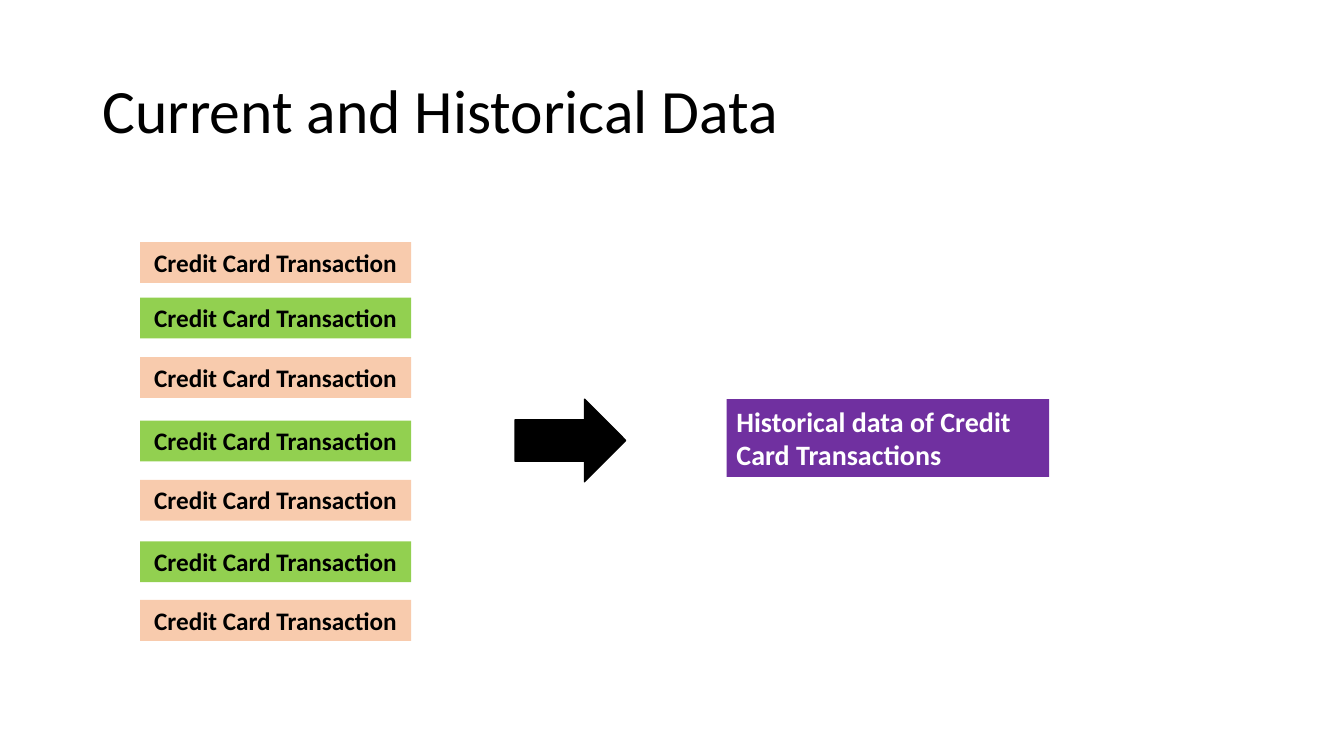
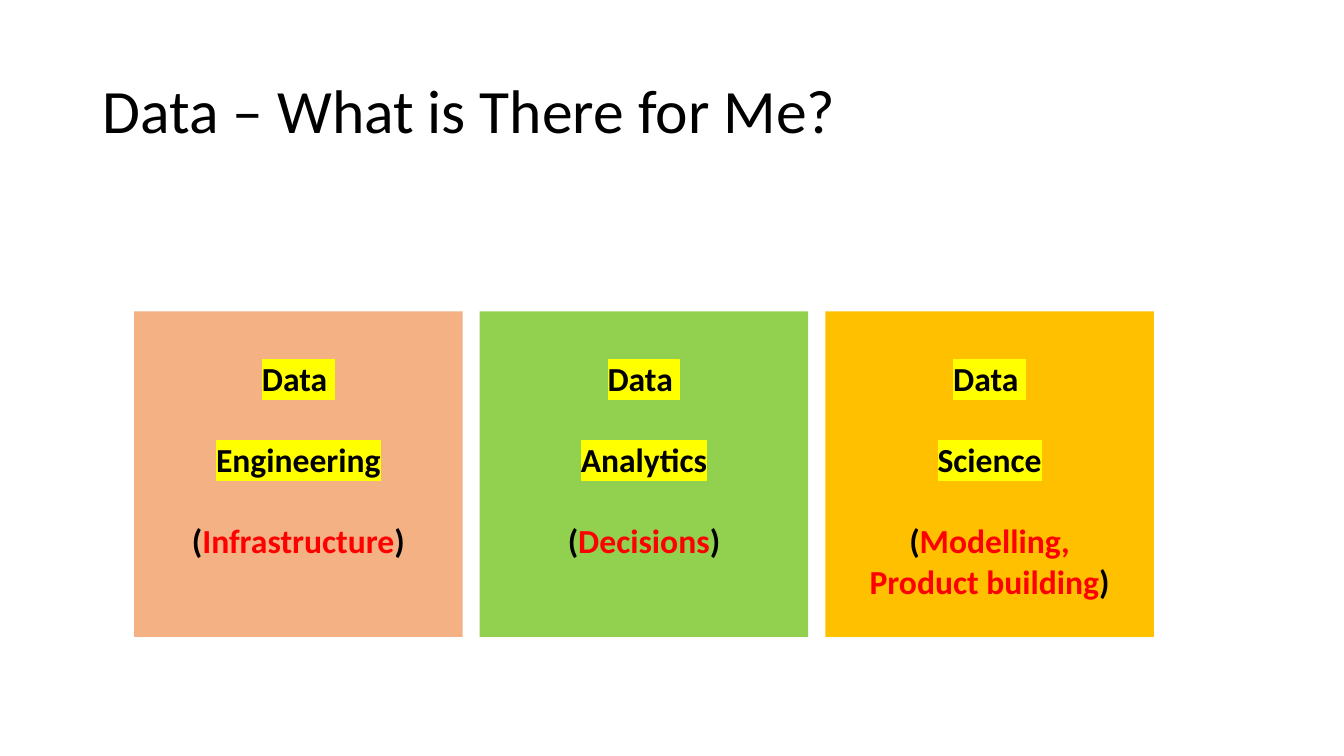
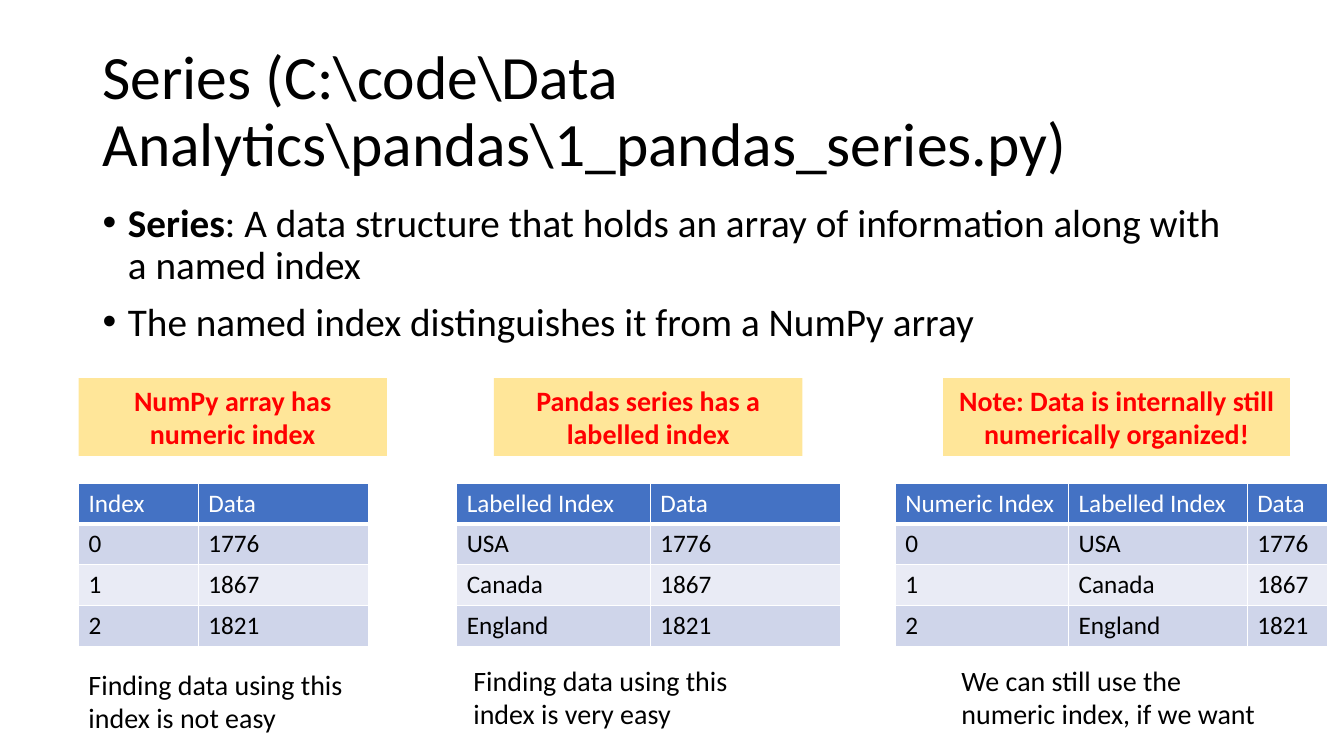
from dataclasses import dataclass

from lxml import etree
from pptx import Presentation
from pptx.dml.color import RGBColor
from pptx.enum.shapes import MSO_SHAPE
from pptx.enum.text import MSO_ANCHOR, MSO_AUTO_SIZE, PP_ALIGN
from pptx.oxml.ns import qn
from pptx.presentation import Presentation as Deck
from pptx.shapes.autoshape import Shape
from pptx.slide import Slide
from pptx.table import _Cell
from pptx.text.text import TextFrame, _Paragraph
from pptx.util import Cm, Pt

RECTANGLE = MSO_SHAPE.RECTANGLE
RIGHT_ARROW = MSO_SHAPE.RIGHT_ARROW
TOP = MSO_ANCHOR.TOP
MIDDLE = MSO_ANCHOR.MIDDLE
NO_AUTOFIT = MSO_AUTO_SIZE.NONE
LEFT = PP_ALIGN.LEFT
CENTER = PP_ALIGN.CENTER

TITLE_AND_CONTENT = 1
TITLE_ONLY = 5
FONT = "Calibri"
BLACK = "000000"
WHITE = "FFFFFF"
RED = "FF0000"
YELLOW = "FFFF00"
GREEN = "92D050"
PEACH = "F8CBAD"
ORANGE = "F4B183"
GOLD = "FFC000"
PURPLE = "7030A0"
CREAM = "FFE699"
HEADER_BLUE = "4472C4"
ROW_BANDS = ("CFD5EA", "E9EBF5")

CONTENT_LEFT = 2.33
CONTENT_WIDTH = 29.21
TWO_LINE_HEIGHT = 1.96


@dataclass(frozen=True)
class Box:
    left: float
    top: float
    width: float
    height: float

    def lengths(self) -> tuple[Cm, Cm, Cm, Cm]:
        return Cm(self.left), Cm(self.top), Cm(self.width), Cm(self.height)


@dataclass(frozen=True)
class Field:
    name: str
    purpose: tuple[str, ...]
    color: str


@dataclass(frozen=True)
class IndexExample:
    note: str
    note_left: float
    note_width: float
    table_left: float
    columns: dict[str, float]
    caption: str
    caption_box: Box


TITLE_BOX = Box(CONTENT_LEFT, 1.01, CONTENT_WIDTH, 3.68)
BODY_BOX = Box(CONTENT_LEFT, 5.0, CONTENT_WIDTH, 12.09)

TRANSACTION_TOPS = (6.1, 7.5, 9.0, 10.6, 12.09, 13.64, 15.12)

FIELDS = (
    Field("Engineering", ("Infrastructure",), ORANGE),
    Field("Analytics", ("Decisions",), GREEN),
    Field("Science", ("Modelling,", "Product building"), GOLD),
)

COLUMN_VALUES = {
    "Index": ("0", "1", "2"),
    "Numeric Index": ("0", "1", "2"),
    "Labelled Index": ("USA", "Canada", "England"),
    "Data": ("1776", "1867", "1821"),
}

INDEX_EXAMPLES = (
    IndexExample(
        "NumPy array has numeric index", 1.98, 7.77,
        1.98, {"Index": 3.02, "Data": 4.29},
        "Finding data using this index is not easy",
        Box(1.98, 16.69, 8.56, TWO_LINE_HEIGHT),
    ),
    IndexExample(
        "Pandas series has a labelled index", 12.45, 7.77,
        11.51, {"Labelled Index": 4.88, "Data": 4.8},
        "Finding data using this index is very easy",
        Box(11.68, 16.59, 8.23, TWO_LINE_HEIGHT),
    ),
    IndexExample(
        "Note: Data is internally still numerically organized!", 23.77, 8.74,
        22.56, {"Numeric Index": 4.37, "Labelled Index": 4.5, "Data": 2.03},
        "We can still use the numeric index, if we want",
        Box(23.98, 16.59, 8.23, TWO_LINE_HEIGHT),
    ),
)


def rgb(color: str) -> RGBColor:
    return RGBColor.from_string(color)


def write(
    paragraph: _Paragraph,
    text: str,
    *,
    size: float,
    color: str = BLACK,
    bold: bool = False,
    highlight: str | None = None,
) -> None:
    run = paragraph.add_run()
    run.text = text
    run.font.name = FONT
    run.font.size = Pt(size)
    run.font.bold = bold
    run.font.color.rgb = rgb(color)
    if highlight:
        marker = etree.Element(qn("a:highlight"))
        etree.SubElement(marker, qn("a:srgbClr"), val=highlight)
        run.font.fill._xPr.find(qn("a:solidFill")).addnext(marker)


def next_paragraph(frame: TextFrame) -> _Paragraph:
    first = frame.paragraphs[0]
    return frame.add_paragraph() if first.runs else first


def place(shape: Shape, box: Box) -> None:
    shape.left, shape.top, shape.width, shape.height = box.lengths()


def add_titled_slide(deck: Deck, layout: int, title: str) -> Slide:
    slide = deck.slides.add_slide(deck.slide_layouts[layout])
    heading = slide.shapes.title
    place(heading, TITLE_BOX)
    frame = heading.text_frame
    frame.auto_size = NO_AUTOFIT
    frame.vertical_anchor = MIDDLE
    paragraph = frame.paragraphs[0]
    paragraph.alignment = LEFT
    paragraph.line_spacing = 0.9
    write(paragraph, title, size=44)
    return slide


def add_block(slide: Slide, box: Box, color: str, kind: MSO_SHAPE = RECTANGLE) -> Shape:
    block = slide.shapes.add_shape(kind, *box.lengths())
    block.shadow.inherit = False
    block.fill.solid()
    block.fill.fore_color.rgb = rgb(color)
    block.line.fill.background()
    block.text_frame.word_wrap = True
    block.text_frame.vertical_anchor = TOP
    return block


def add_label(
    slide: Slide,
    box: Box,
    fill: str,
    text: str,
    *,
    size: float = 20,
    color: str = BLACK,
    align: PP_ALIGN = CENTER,
) -> None:
    paragraph = add_block(slide, box, fill).text_frame.paragraphs[0]
    paragraph.alignment = align
    write(paragraph, text, size=size, color=color, bold=True)


def add_field_card(slide: Slide, box: Box, field: Field) -> None:
    frame = add_block(slide, box, field.color).text_frame
    frame.margin_top = Cm(1.16)
    for heading in ("Data ", field.name):
        paragraph = next_paragraph(frame)
        paragraph.alignment = CENTER
        paragraph.space_after = Pt(29.3)
        write(paragraph, heading, size=24, bold=True, highlight=YELLOW)
    last = len(field.purpose) - 1
    for position, line in enumerate(field.purpose):
        paragraph = next_paragraph(frame)
        paragraph.alignment = CENTER
        if position == 0:
            write(paragraph, "(", size=24, bold=True)
        write(paragraph, line, size=24, color=RED, bold=True)
        if position == last:
            write(paragraph, ")", size=24, bold=True)


def add_bullet(frame: TextFrame, text: str, term: str = "") -> None:
    paragraph = next_paragraph(frame)
    paragraph.line_spacing = 0.9
    paragraph.space_before = Pt(10)
    properties = paragraph._p.get_or_add_pPr()
    properties.set("marL", str(Cm(0.64)))
    properties.set("indent", str(-Cm(0.64)))
    if term:
        write(paragraph, term, size=28, bold=True)
    write(paragraph, text, size=28)


def set_borders(cell: _Cell, bottom: float) -> None:
    properties = cell._tc.get_or_add_tcPr()
    widths = {"a:lnL": 1, "a:lnR": 1, "a:lnT": 1, "a:lnB": bottom}
    for position, (side, width) in enumerate(widths.items()):
        border = etree.Element(qn(side), w=str(Pt(width)))
        fill = etree.SubElement(border, qn("a:solidFill"))
        etree.SubElement(fill, qn("a:srgbClr"), val=WHITE)
        properties.insert(position, border)


def add_index_table(slide: Slide, left: float, columns: dict[str, float]) -> None:
    rows = [tuple(columns), *zip(*(COLUMN_VALUES[name] for name in columns))]
    row_height = 1.03
    box = Box(left, 12.17, sum(columns.values()), row_height * len(rows))
    table = slide.shapes.add_table(len(rows), len(columns), *box.lengths()).table
    for column, width in zip(table.columns, columns.values()):
        column.width = Cm(width)
    for row_number, values in enumerate(rows):
        table.rows[row_number].height = Cm(row_height)
        is_header = row_number == 0
        fill = HEADER_BLUE if is_header else ROW_BANDS[(row_number - 1) % 2]
        for column_number, value in enumerate(values):
            cell = table.cell(row_number, column_number)
            cell.fill.solid()
            cell.fill.fore_color.rgb = rgb(fill)
            set_borders(cell, bottom=3 if is_header else 1)
            write(
                cell.text_frame.paragraphs[0], value,
                size=18, color=WHITE if is_header else BLACK,
            )


def add_caption(slide: Slide, box: Box, text: str) -> None:
    frame = slide.shapes.add_textbox(*box.lengths()).text_frame
    frame.word_wrap = True
    write(frame.paragraphs[0], text, size=20)


def build_history_slide(deck: Deck) -> None:
    slide = add_titled_slide(deck, TITLE_ONLY, "Current and Historical Data")
    for number, top in enumerate(TRANSACTION_TOPS):
        color = (PEACH, GREEN)[number % 2]
        add_label(slide, Box(3.53, top, 6.83, 1.03), color, "Credit Card Transaction", size=18)
    arrow = add_block(slide, Box(12.98, 10.06, 2.79, 2.08), BLACK, RIGHT_ARROW)
    arrow.line.color.rgb = rgb(BLACK)
    arrow.line.width = Pt(1)
    add_label(
        slide, Box(18.31, 10.06, 8.13, TWO_LINE_HEIGHT), PURPLE,
        "Historical data of Credit Card Transactions", color=WHITE, align=LEFT,
    )


def build_fields_slide(deck: Deck) -> None:
    slide = add_titled_slide(deck, TITLE_ONLY, "Data – What is There for Me?")
    card_width, gap = 8.28, 0.43
    for number, field in enumerate(FIELDS):
        left = 3.38 + number * (card_width + gap)
        add_field_card(slide, Box(left, 7.85, card_width, 8.2), field)


def build_series_slide(deck: Deck) -> None:
    slide = add_titled_slide(
        deck, TITLE_AND_CONTENT,
        "Series (C:\\code\\Data Analytics\\pandas\\1_pandas_series.py)",
    )
    body = slide.placeholders[1]
    place(body, BODY_BOX)
    body.text_frame.auto_size = NO_AUTOFIT
    add_bullet(
        body.text_frame,
        ": A data structure that holds an array of information along with a named index",
        term="Series",
    )
    add_bullet(body.text_frame, "The named index distinguishes it from a NumPy array")
    for example in INDEX_EXAMPLES:
        note_box = Box(example.note_left, 9.53, example.note_width, TWO_LINE_HEIGHT)
        add_label(slide, note_box, CREAM, example.note, color=RED)
        add_index_table(slide, example.table_left, example.columns)
        add_caption(slide, example.caption_box, example.caption)


def main() -> None:
    deck = Presentation()
    deck.slide_width, deck.slide_height = Cm(33.87), Cm(19.05)
    build_history_slide(deck)
    build_fields_slide(deck)
    build_series_slide(deck)
    deck.save("out.pptx")


if __name__ == "__main__":
    main()
